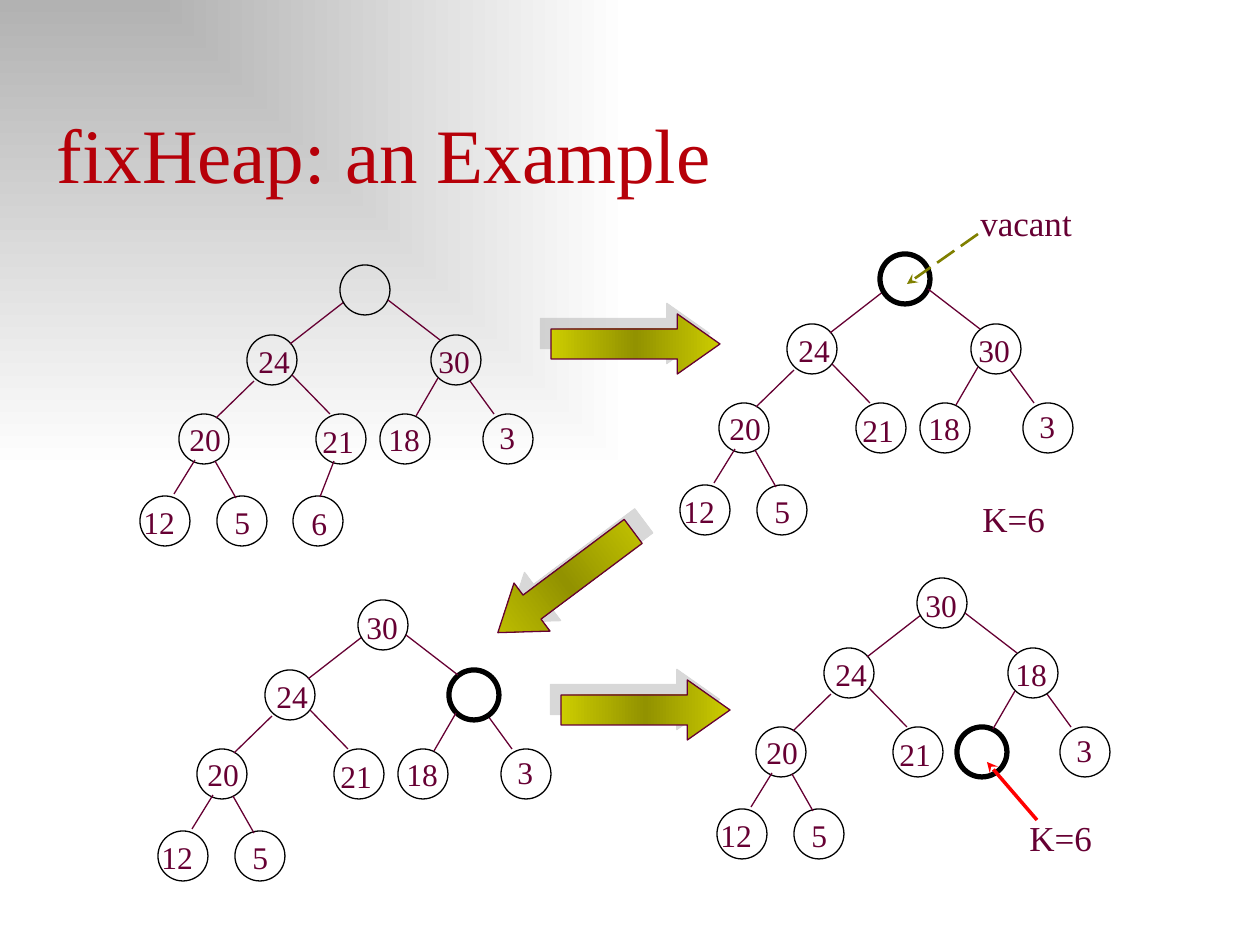
import lxml.etree
import pptx
import pptx.dml.color
import pptx.enum.dml
import pptx.enum.shapes
import pptx.enum.text
import pptx.oxml
import pptx.oxml.ns
import pptx.util

EMU_PER_PX = 914400 / 126
FONT = "Times New Roman"
COLORS = {
    "title": "B60009", "text": "660033", "node": "000000",
    "pointer": "808000", "insert": "FF0000", "shade": "B2B2B2",
    "white": "FFFFFF", "arrow": "CCCC00", "arrow_middle": "929200",
}
NODE_SIZE = 50
LABEL_HEIGHT = 45

# slot: (circle offset from the root, label offset from the circle, label width)
NODES = {
    "root": ((0, 0), (-4, 2), 86),
    "l": ((-93, 70), (-1, 1), 72),
    "r": ((91, 70), (-5, 1), 83),
    "ll": ((-161, 149), (-2, 0), 69),
    "lr": ((-24, 149), (-6, 2), 83),
    "rl": ((40, 149), (-4, 0), 83),
    "rr": ((143, 149), (4, -2), 83),
    "lll": ((-200, 231), (-9, 1), 83),
    "llr": ((-123, 231), (5, 1), 49),
    "lrl": ((-47, 231), (6, 2), 30),
}
# child slot: ends of the edge from its parent, as offsets from the root
EDGES = {
    "l": (4, 37, -50, 79),
    "r": (48, 35, 100, 75),
    "ll": (-86, 116, -124, 153),
    "lr": (-48, 110, -10, 149),
    "rl": (98, 113, 76, 151),
    "rr": (130, 116, 154, 149),
    "lll": (-145, 195, -166, 229),
    "llr": (-125, 196, -104, 233),
    "lrl": (-6, 196, -20, 232),
}
COMMON = {"l": "24", "ll": "20", "lr": "21", "rr": "3", "lll": "12", "llr": "5"}
# root position, values by slot, slot drawn as vacant
HEAPS = [
    ((340, 265), {**COMMON, "root": "", "r": "30", "rl": "18", "lrl": "6"}, None),
    ((880, 254), {**COMMON, "root": "", "r": "30", "rl": "18"}, "root"),
    ((358, 600), {**COMMON, "root": "30", "r": "", "rl": "18"}, "r"),
    ((917, 578), {**COMMON, "root": "30", "r": "18", "rl": ""}, "rl"),
]
# left, top, rotation, shadow direction
STEP_ARROWS = [(551, 314, 0, 225), (481, 552, 143.2, 315), (561, 680, 0, 225)]


def px(*lengths):
    return [pptx.util.Emu(round(length * EMU_PER_PX)) for length in lengths]


def rgb(name):
    return pptx.dml.color.RGBColor.from_string(COLORS[name])


def set_values(target, values):
    for name, value in values.items():
        setattr(target, name, value)


def parse_xml(tag, content):
    namespace = pptx.oxml.ns.nsdecls("a")
    return pptx.oxml.parse_xml(f"<a:{tag} {namespace}>{content}</a:{tag}>")


def set_gradient(fill, owner, names, direction):
    """Fill with evenly spaced colours; direction is the XML of the gradient's shape."""
    fill.gradient()
    gradient = owner.xpath(".//a:gradFill")[0]
    step = 100000 // (len(names) - 1)
    stops = "".join(
        f'<a:gs pos="{index * step}"><a:srgbClr val="{COLORS[name]}"/></a:gs>'
        for index, name in enumerate(names))
    for child in list(gradient):
        gradient.remove(child)
    gradient.append(parse_xml("gsLst", stops))
    gradient.append(direction)


def format_text(frame, text, size, color, alignment, values):
    set_values(frame, {"word_wrap": True, **values})
    paragraph = frame.paragraphs[0]
    paragraph.text = text
    paragraph.alignment = alignment
    set_values(paragraph.runs[0].font, {"name": FONT, "size": pptx.util.Pt(size)})
    paragraph.runs[0].font.color.rgb = rgb(color)


def set_line(line, color, width):
    line.color.rgb = rgb(color)
    line.width = pptx.util.Pt(width)


def add_background(slide):
    corner = parse_xml("path", '<a:fillToRect r="100000" b="100000"/>')
    corner.set("path", "rect")
    set_gradient(slide.background.fill, slide.element, ["shade", "white"], corner)


def add_title(slide, text):
    title = slide.shapes.title
    left, top, width, height = px(44, 100, 1191, 105)
    set_values(title, {"left": left, "top": top, "width": width, "height": height})
    format_text(title.text_frame, text, 44, "title", pptx.enum.text.PP_ALIGN.LEFT, {
        "vertical_anchor": pptx.enum.text.MSO_ANCHOR.BOTTOM,
        "auto_size": pptx.enum.text.MSO_AUTO_SIZE.SHAPE_TO_FIT_TEXT,
    })


def add_label(slide, text, box, size=18, alignment=pptx.enum.text.PP_ALIGN.JUSTIFY):
    label = slide.shapes.add_textbox(*px(*box))
    format_text(label.text_frame, text, size, "text", alignment, {})


def add_line(slide, ends, color="text", width=0.75, dash=None, arrowhead=False):
    connector = slide.shapes.add_connector(
        pptx.enum.shapes.MSO_CONNECTOR.STRAIGHT, *px(*ends))
    set_line(connector.line, color, width)
    if dash:
        connector.line.dash_style = dash
    if arrowhead:
        head = lxml.etree.SubElement(
            connector.line._get_or_add_ln(), pptx.oxml.ns.qn("a:tailEnd"))
        head.set("type", "stealth")
    connector.element.spPr.append(parse_xml("effectLst", ""))


def add_node(slide, left, top, vacant):
    node = slide.shapes.add_shape(
        pptx.enum.shapes.MSO_SHAPE.OVAL, *px(left, top, NODE_SIZE, NODE_SIZE))
    node.shadow.inherit = False
    node.fill.background()
    set_line(node.line, "node", 3 if vacant else 0.75)


def add_heap(slide, root, values, vacant_slot):
    root_left, root_top = root
    for slot, value in values.items():
        (across, down), (label_across, label_down), label_width = NODES[slot]
        left, top = root_left + across, root_top + down
        add_node(slide, left, top, slot == vacant_slot)
        if value:
            add_label(slide, value, (left + label_across, top + label_down,
                                     label_width, LABEL_HEIGHT))
        if slot in EDGES:
            x1, y1, x2, y2 = EDGES[slot]
            add_line(slide, (root_left + x1, root_top + y1,
                             root_left + x2, root_top + y2))


def add_step_arrow(slide, left, top, rotation, shadow_direction):
    arrow = slide.shapes.add_shape(
        pptx.enum.shapes.MSO_SHAPE.RIGHT_ARROW, *px(left, top, 169, 60))
    arrow.rotation = rotation
    arrow.adjustments[0], arrow.adjustments[1] = 0.5, 0.71
    horizontal = parse_xml("lin", "")
    horizontal.set("ang", "0")
    set_gradient(arrow.fill, arrow.element, ["arrow", "arrow_middle", "arrow"], horizontal)
    set_line(arrow.line, "text", 0.75)
    arrow.element.spPr.append(parse_xml(
        "effectLst",
        f'<a:outerShdw dist="{pptx.util.Pt(8.5)}" dir="{shadow_direction * 60000}" '
        f'algn="ctr" rotWithShape="0"><a:srgbClr val="{COLORS["shade"]}">'
        '<a:alpha val="50000"/></a:srgbClr></a:outerShdw>'))


def main():
    presentation = pptx.Presentation()
    presentation.slide_width, presentation.slide_height = px(1260, 945)
    slide = presentation.slides.add_slide(presentation.slide_layouts[5])
    add_background(slide)
    add_title(slide, "fixHeap: an Example")
    for heap in HEAPS:
        add_heap(slide, *heap)
    for step_arrow in STEP_ARROWS:
        add_step_arrow(slide, *step_arrow)
    add_label(slide, "vacant", (968, 195, 238, 54), 20, pptx.enum.text.PP_ALIGN.LEFT)
    add_line(slide, (978, 234, 907, 284), "pointer", 1.5,
             pptx.enum.dml.MSO_LINE.LONG_DASH, arrowhead=True)
    for box in [(970, 491, 113, 49), (1017, 810, 174, 49)]:
        add_label(slide, "K=6", box, 20)
    add_line(slide, (1037, 820, 987, 762), "insert", 2, arrowhead=True)
    presentation.save("out.pptx")


if __name__ == "__main__":
    main()
